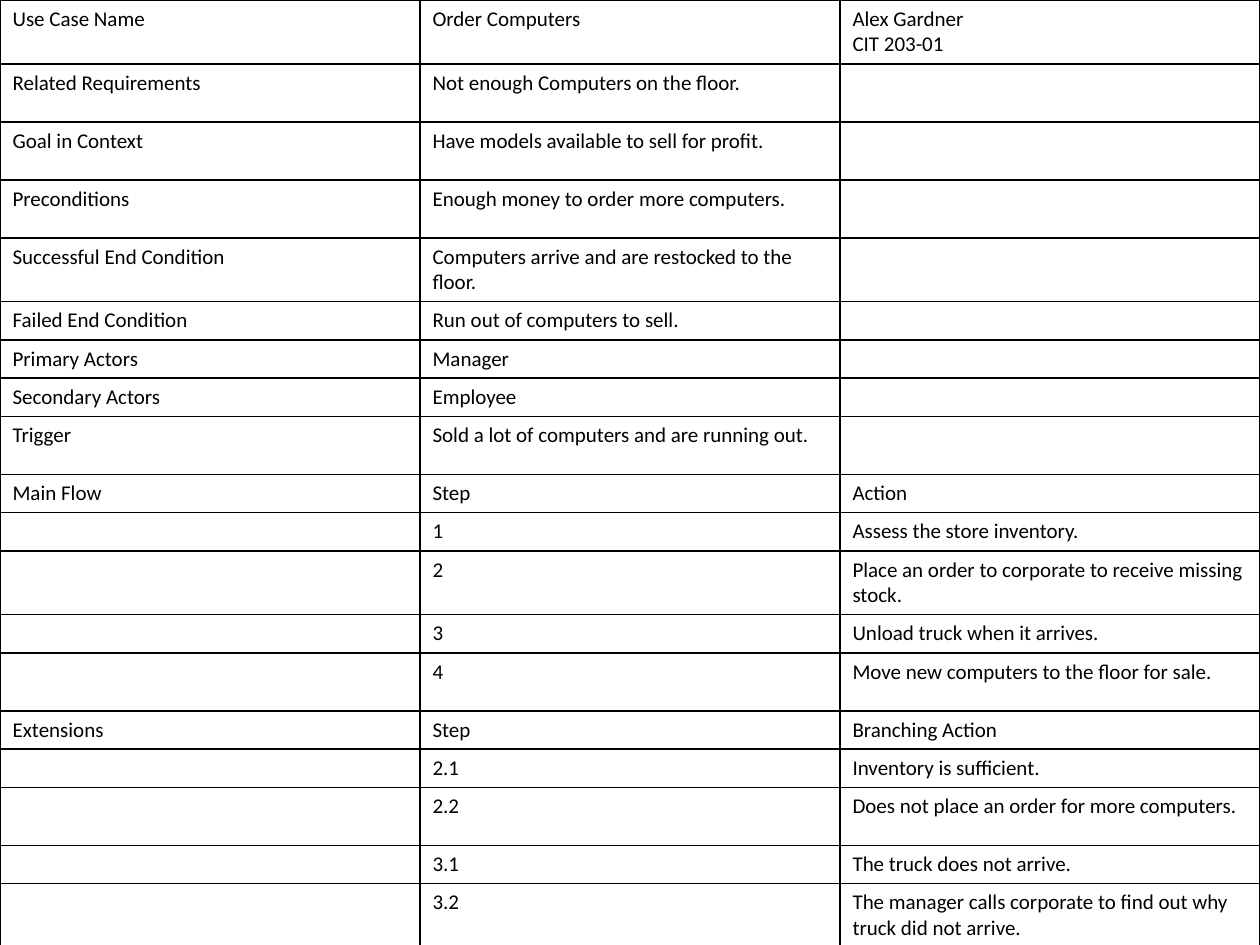
from pptx import Presentation
from pptx.dml.color import RGBColor
from pptx.oxml import parse_xml
from pptx.oxml.ns import nsdecls
from pptx.util import Emu, Pt

PIXEL = 914400 // 126
PAGE_WIDTH, PAGE_HEIGHT = 1260, 945
COLORS = {"ink": "000000", "paper": "FFFFFF"}
FONT, SIZE = "Calibri", 12
SHORT, TALL, LAST = 33, 58, 107
BORDER_SIDES = ("lnL", "lnR", "lnT", "lnB")

# Row height, then the text of the three columns.
USE_CASE = [
    (TALL, "Use Case Name", "Order Computers", "Alex Gardner\nCIT 203-01"),
    (TALL, "Related Requirements", "Not enough Computers on the floor.", ""),
    (TALL, "Goal in Context", "Have models available to sell for profit.", ""),
    (TALL, "Preconditions", "Enough money to order more computers.", ""),
    (TALL, "Successful End Condition",
     "Computers arrive and are restocked to the floor.", ""),
    (SHORT, "Failed End Condition", "Run out of computers to sell.", ""),
    (SHORT, "Primary Actors", "Manager", ""),
    (SHORT, "Secondary Actors", "Employee", ""),
    (TALL, "Trigger", "Sold a lot of computers and are running out.", ""),
    (SHORT, "Main Flow", "Step", "Action"),
    (SHORT, "", "1", "Assess the store inventory."),
    (TALL, "", "2", "Place an order to corporate to receive missing stock."),
    (SHORT, "", "3", "Unload truck when it arrives."),
    (TALL, "", "4", "Move new computers to the floor for sale."),
    (SHORT, "Extensions", "Step", "Branching Action"),
    (SHORT, "", "2.1", "Inventory is sufficient."),
    (TALL, "", "2.2", "Does not place an order for more computers."),
    (SHORT, "", "3.1", "The truck does not arrive."),
    (LAST, "", "3.2",
     "The manager calls corporate to find out why truck did not arrive."),
]


def px(length):
    """Turn pixels into EMU."""
    return Emu(round(length * PIXEL))


def add_borders(cell):
    """Draw a one-point line on every side of a cell."""
    properties = cell._tc.get_or_add_tcPr()
    for index, side in enumerate(BORDER_SIDES):
        properties.insert(index, parse_xml(
            f'<a:{side} {nsdecls("a")} w="{Pt(1)}"><a:solidFill>'
            f'<a:srgbClr val="{COLORS["ink"]}"/></a:solidFill></a:{side}>'))


def fill_cell(cell, text):
    """Write the text of a cell and set its look."""
    cell.text = text
    cell.fill.solid()
    cell.fill.fore_color.rgb = RGBColor.from_string(COLORS["paper"])
    for para in cell.text_frame.paragraphs:
        para.font.name = FONT
        para.font.size = Pt(SIZE)
        para.font.bold = False
        para.font.color.rgb = RGBColor.from_string(COLORS["ink"])
        if not text:
            para._p.append(parse_xml(
                f'<a:endParaRPr {nsdecls("a")} sz="{SIZE * 100}"/>'))
    add_borders(cell)


def add_use_case(page):
    """Add the use case table across the whole page."""
    heights = [row[0] for row in USE_CASE]
    columns = len(USE_CASE[0]) - 1
    table = page.shapes.add_table(
        len(USE_CASE), columns, 0, 0, px(PAGE_WIDTH), px(sum(heights))).table
    table.first_row = table.horz_banding = False
    for column in table.columns:
        column.width = px(PAGE_WIDTH / columns)
    for index, (height, *texts) in enumerate(USE_CASE):
        table.rows[index].height = px(height)
        for cell, text in zip(table.rows[index].cells, texts):
            fill_cell(cell, text)


deck = Presentation()
deck.slide_width, deck.slide_height = px(PAGE_WIDTH), px(PAGE_HEIGHT)
add_use_case(deck.slides.add_slide(deck.slide_layouts[6]))
deck.save("out.pptx")
